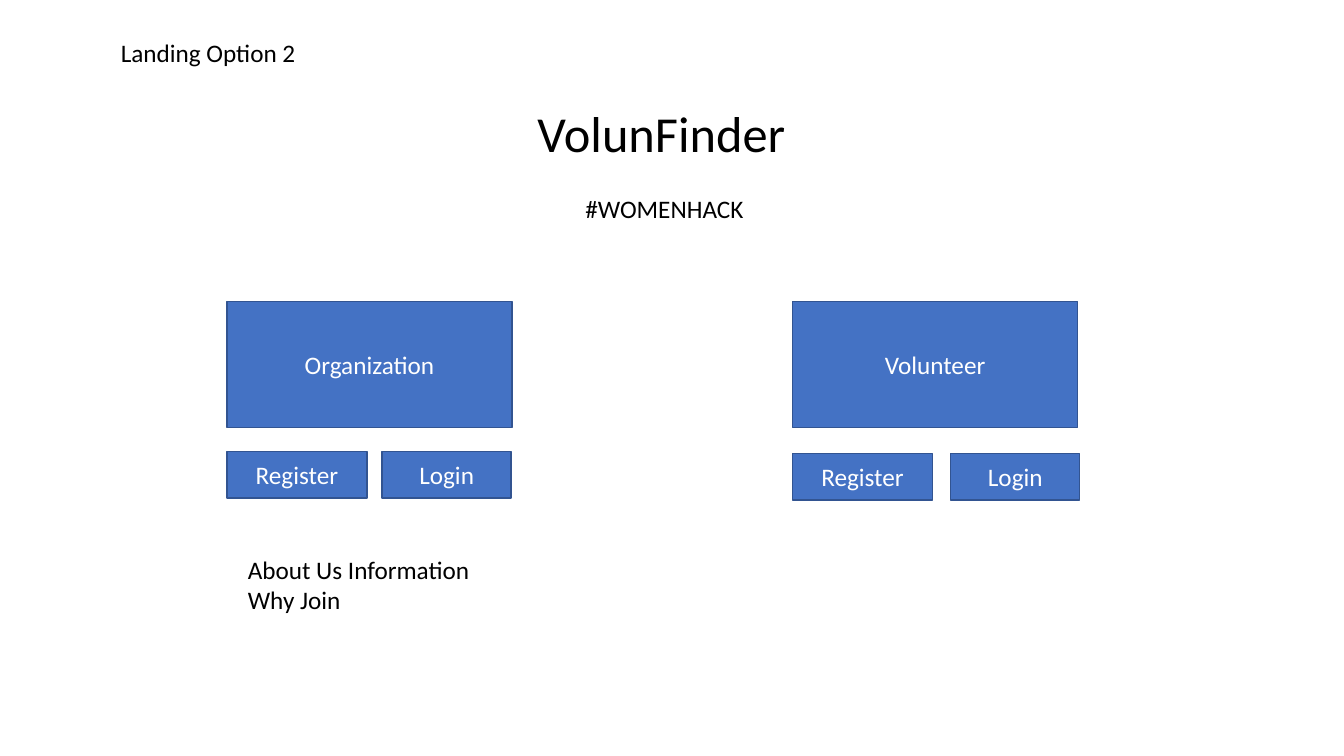
"""Build the second landing page option of the volunteer matching site."""
from dataclasses import dataclass

import pptx
import pptx.dml.color
import pptx.enum.shapes
import pptx.enum.text
import pptx.util
from pptx.dml.color import RGBColor
from pptx.util import Inches

BLUE = RGBColor(0x44, 0x72, 0xC4)
DARK_BLUE = RGBColor(0x32, 0x54, 0x91)
BLACK = RGBColor(0, 0, 0)
WHITE = RGBColor(0xFF, 0xFF, 0xFF)
FONT = "Calibri"
LEFT = pptx.enum.text.PP_ALIGN.LEFT
CENTER = pptx.enum.text.PP_ALIGN.CENTER
TOP = pptx.enum.text.MSO_ANCHOR.TOP
MIDDLE = pptx.enum.text.MSO_ANCHOR.MIDDLE


@dataclass(frozen=True)
class Box:
    left: float
    top: float
    width: float
    height: float

    def lengths(self) -> tuple:
        return tuple(map(Inches, (self.left, self.top, self.width, self.height)))


@dataclass(frozen=True)
class Audience:
    name: str
    left: float
    buttons_top: float
    login_offset: float


@dataclass(frozen=True)
class Note:
    text: str
    box: Box
    align: pptx.enum.text.PP_ALIGN = LEFT


AUDIENCES = (
    Audience("Organization", 2.25, 4.48, 1.54),
    Audience("Volunteer", 7.86, 4.5, 1.57),
)
NOTES = (
    Note("#WOMENHACK", Box(2.28, 1.87, 8.62, 0.4), CENTER),
    Note("About Us Information\nWhy Join", Box(2.36, 5.45, 8.62, 0.71)),
    Note("Landing Option 2", Box(1.1, 0.32, 2.09, 0.4)),
)


def write(shape, text: str, color: RGBColor, align, anchor, size: int = 18) -> None:
    frame = shape.text_frame
    frame.text = text
    frame.word_wrap = True
    frame.auto_size = pptx.enum.text.MSO_AUTO_SIZE.NONE
    frame.vertical_anchor = anchor
    for paragraph in frame.paragraphs:
        paragraph.alignment = align
        for run in paragraph.runs:
            run.font.name = FONT
            run.font.size = pptx.util.Pt(size)
            run.font.color.rgb = color


def add_button(slide, label: str, box: Box) -> None:
    button = slide.shapes.add_shape(
        pptx.enum.shapes.MSO_SHAPE.RECTANGLE, *box.lengths()
    )
    button.shadow.inherit = False
    button.fill.solid()
    button.fill.fore_color.rgb = BLUE
    button.line.color.rgb = DARK_BLUE
    button.line.width = pptx.util.Pt(1)
    write(button, label, WHITE, CENTER, MIDDLE)


def add_audience(slide, audience: Audience) -> None:
    left, top = audience.left, audience.buttons_top
    add_button(slide, audience.name, Box(left, 2.99, 2.83, 1.25))
    add_button(slide, "Register", Box(left, top, 1.39, 0.46))
    add_button(slide, "Login", Box(left + audience.login_offset, top, 1.28, 0.46))


def add_site_name(slide) -> None:
    site_name = slide.shapes.title
    site_name.left, site_name.top, site_name.width, site_name.height = Box(
        2.25, 0.96, 8.62, 0.72
    ).lengths()
    write(site_name, "VolunFinder", BLACK, CENTER, TOP, size=36)


def main() -> None:
    presentation = pptx.Presentation()
    presentation.slide_width = Inches(13.33)
    presentation.slide_height = Inches(7.5)
    landing = presentation.slides.add_slide(
        presentation.slide_layouts.get_by_name("Title Only")
    )
    add_site_name(landing)
    for audience in AUDIENCES:
        add_audience(landing, audience)
    for note in NOTES:
        caption = landing.shapes.add_textbox(*note.box.lengths())
        write(caption, note.text, BLACK, note.align, TOP)
    presentation.save("out.pptx")


if __name__ == "__main__":
    main()
